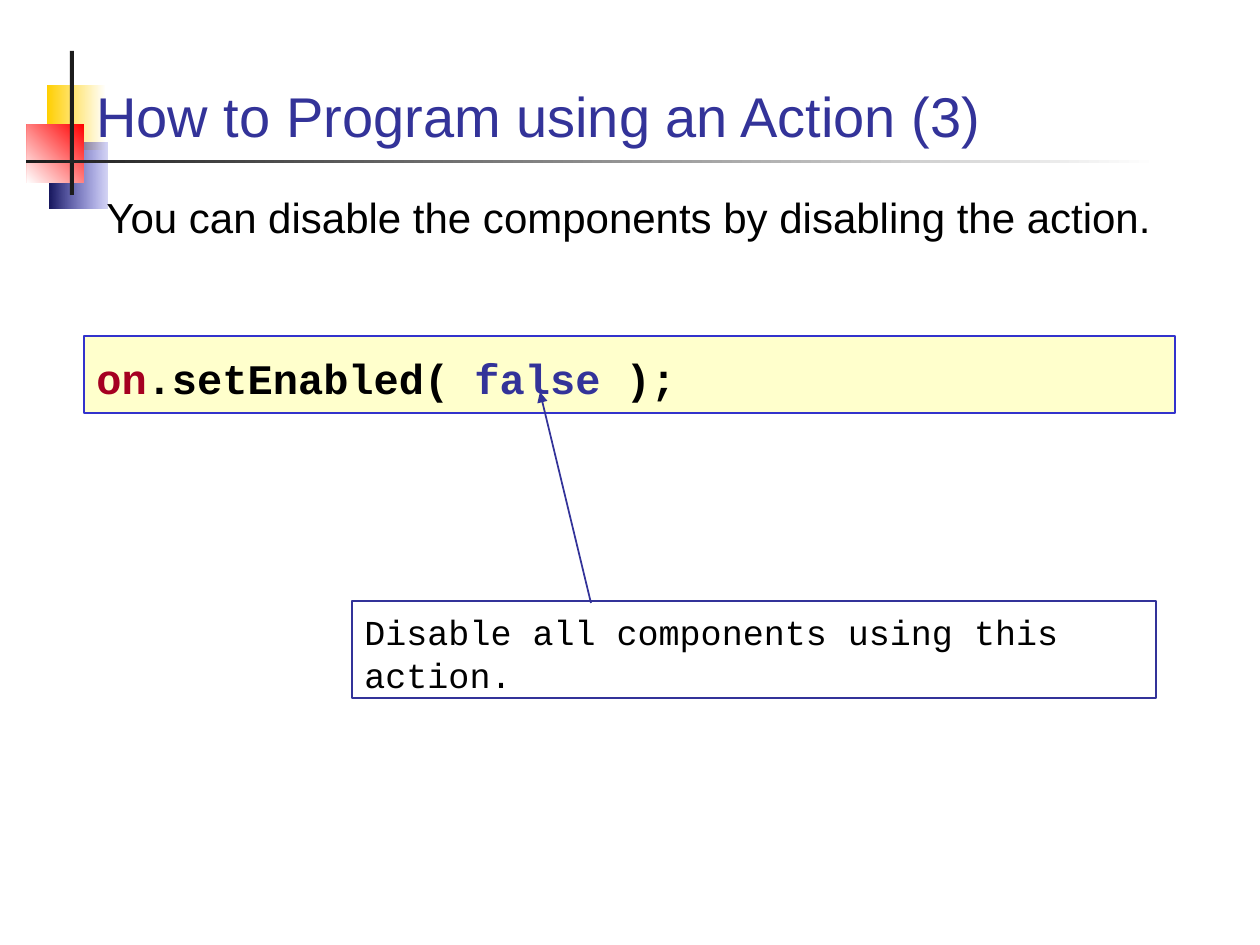
import pptx
import pptx.dml.color
import pptx.enum.shapes
import pptx.enum.text
import pptx.oxml.ns
import pptx.util
import lxml.etree

RGB = pptx.dml.color.RGBColor
WHITE = RGB(0xFF, 0xFF, 0xFF)
BLACK = RGB(0x00, 0x00, 0x00)
CHARCOAL = RGB(0x1C, 0x1C, 0x1C)
YELLOW = RGB(0xFF, 0xCF, 0x01)
RED = RGB(0xFF, 0x00, 0x00)
BLUE = RGB(0x33, 0x33, 0xCC)
NAVY = RGB(0x17, 0x17, 0x5E)
INDIGO = RGB(0x33, 0x33, 0x99)
CRIMSON = RGB(0xA5, 0x00, 0x21)
CREAM = RGB(0xFF, 0xFF, 0xCC)

PX = 914400 // 126
Pt = pptx.util.Pt
qn = pptx.oxml.ns.qn
RECTANGLE = pptx.enum.shapes.MSO_SHAPE.RECTANGLE
ANCHOR = pptx.enum.text.MSO_ANCHOR


def px(*lengths):
    return [pptx.util.Emu(length * PX) for length in lengths]


def add_bar(slide, box, color):
    bar = slide.shapes.add_shape(RECTANGLE, *px(*box))
    bar.shadow.inherit = False
    bar.line.fill.background()
    bar.fill.solid()
    bar.fill.fore_color.rgb = color
    return bar


def add_gradient(slide, box, start, end, angle=180, start_alpha=None):
    """Add a rectangle whose gradient angle runs counter-clockwise."""
    block = add_bar(slide, box, end)
    block.fill.gradient()
    block.fill.gradient_angle = angle
    for stop, position, color in zip(block.fill.gradient_stops, (0, 1), (start, end)):
        stop.position = position
        stop.color.rgb = color
    if start_alpha is not None:
        start_color = next(block._element.spPr.iter(qn("a:srgbClr")))
        lxml.etree.SubElement(start_color, qn("a:alpha"), val=str(start_alpha * 1000))


def add_text(slide, box, runs, size, font="Arial", bold=False, line_height=None,
             anchor=ANCHOR.TOP, inset_top=6, fill=None, border=None):
    """Add one paragraph made of (text, color) runs."""
    text_box = slide.shapes.add_textbox(*px(*box))
    if fill is not None:
        text_box.fill.solid()
        text_box.fill.fore_color.rgb = fill
    if border is not None:
        text_box.line.color.rgb = border
        text_box.line.width = Pt(0.75)
    frame = text_box.text_frame
    frame.word_wrap = True
    frame.vertical_anchor = anchor
    frame.margin_top, = px(inset_top)
    paragraph = frame.paragraphs[0]
    if line_height is not None:
        paragraph.line_spacing = Pt(line_height)
    paragraph.font.name = font
    paragraph.font.size = Pt(size)
    paragraph.font.bold = bold
    for text, color in runs:
        run = paragraph.add_run()
        run.text = text
        run.font.color.rgb = color


def add_arrow(slide, start, end, color):
    arrow = slide.shapes.add_connector(
        pptx.enum.shapes.MSO_CONNECTOR.STRAIGHT, *px(*start, *end))
    arrow.line.color.rgb = color
    arrow.line.width = Pt(1)
    properties = arrow._element.spPr
    lxml.etree.SubElement(properties.find(qn("a:ln")), qn("a:tailEnd"), type="triangle")
    lxml.etree.SubElement(properties, qn("a:effectLst"))


def add_ornament(slide):
    add_gradient(slide, (47, 85, 59, 65), WHITE, YELLOW)
    add_gradient(slide, (49, 143, 58, 66), BLUE, NAVY, start_alpha=20)
    add_gradient(slide, (27, 124, 57, 59), RED, WHITE, angle=225)
    add_bar(slide, (70, 51, 4, 144), CHARCOAL)
    add_gradient(slide, (26, 160, 1133, 3), WHITE, CHARCOAL)


def main():
    presentation = pptx.Presentation()
    presentation.slide_width, presentation.slide_height = px(1260, 945)
    slide = presentation.slides.add_slide(presentation.slide_layouts[6])

    add_ornament(slide)
    add_text(slide, (84, 35, 1091, 120),
             [("How to Program using an Action (3)", INDIGO)], 32,
             anchor=ANCHOR.BOTTOM)
    add_text(slide, (84, 336, 1091, 77),
             [("on", CRIMSON), (".setEnabled( ", BLACK),
              ("false", INDIGO), (" );", BLACK)], 24,
             font="Courier New", bold=True, inset_top=17,
             fill=CREAM, border=BLUE)
    add_text(slide, (94, 185, 1081, 63),
             [("You can disable the components by disabling the action.", BLACK)],
             24, line_height=29)
    add_text(slide, (352, 601, 804, 97),
             [("Disable all components using this action.", BLACK)], 20,
             font="Courier New", line_height=24.5, inset_top=9, border=INDIGO)
    add_arrow(slide, (591, 603), (540, 392), INDIGO)

    presentation.save("out.pptx")


if __name__ == "__main__":
    main()
